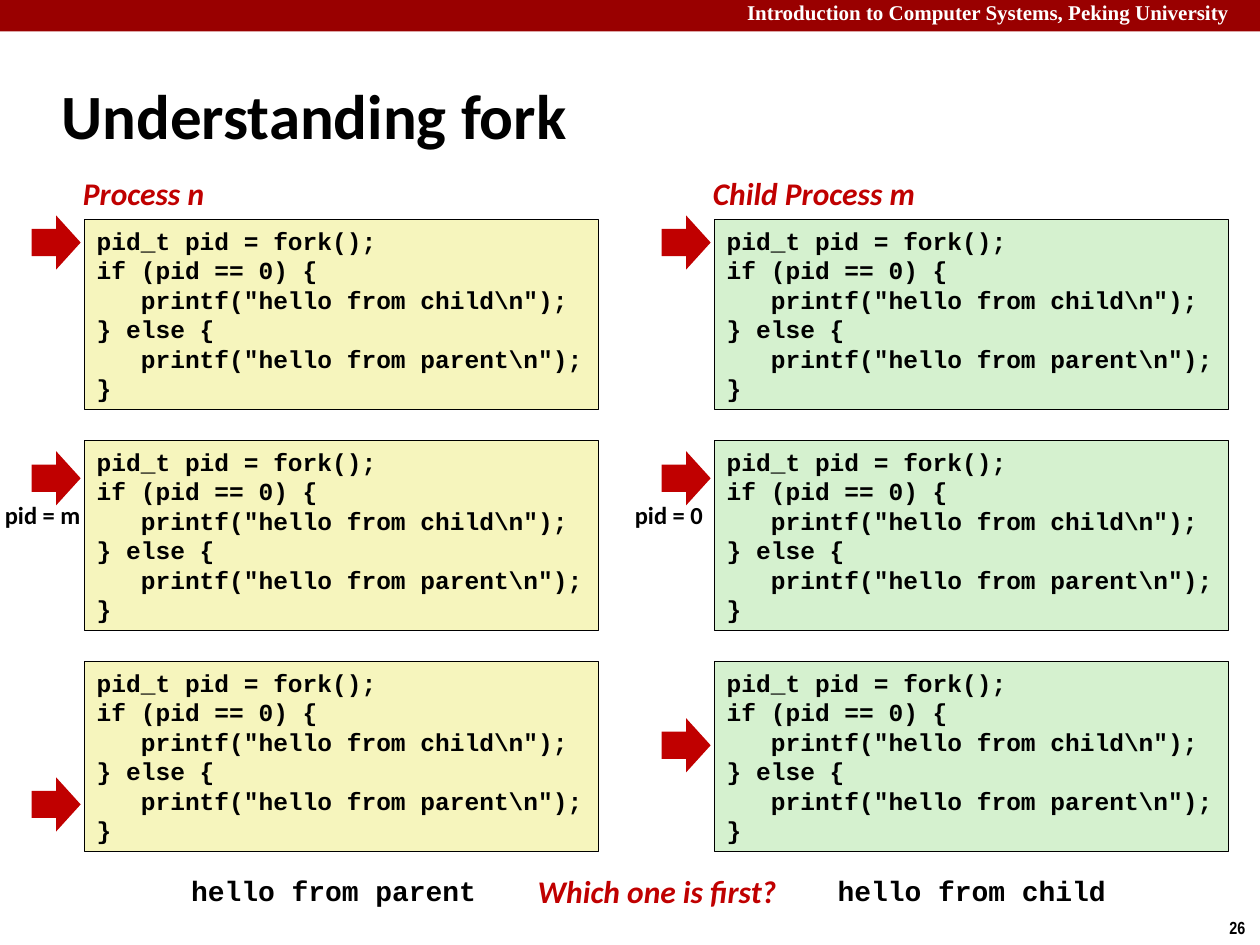
from pptx import Presentation
from pptx.dml.color import RGBColor
from pptx.enum.shapes import MSO_SHAPE
from pptx.enum.text import MSO_ANCHOR, PP_ALIGN
from pptx.util import Pt

RECTANGLE = MSO_SHAPE.RECTANGLE
RIGHT_ARROW = MSO_SHAPE.RIGHT_ARROW
LEFT = PP_ALIGN.LEFT
TOP, MIDDLE = MSO_ANCHOR.TOP, MSO_ANCHOR.MIDDLE

COLORS = {
    "banner": "990000",
    "accent": "C00000",
    "parent": "F6F5BD",
    "child": "D5F1CF",
    "black": "000000",
    "white": "FFFFFF",
}

CODE = r'''pid_t pid = fork();
if (pid == 0) {
   printf("hello from child\n");
} else {
   printf("hello from parent\n");
}'''

# Lengths in points
COLUMN_STEP = 360
CODE_LEFT, CODE_TOP, CODE_STEP = 48.2, 125.3, 126.3
CODE_WIDTH, CODE_HEIGHT, CODE_LINE = 293.8, 108.7, 16.9
ARROW_LEFT, ARROW_WIDTH, ARROW_HEIGHT = 18, 28.1, 31

# Each process: heading, heading width, fill, arrow tops, pid label, label width
PROCESSES = [
    ("Process n", 85, "parent", (123.1, 257.8, 444.2), "pid = m", 58.3),
    ("Child Process m", 131.8, "child", (123.1, 257.8, 410.4), "pid = 0", 54),
]


def color(name):
    return RGBColor.from_string(COLORS[name])


def add_run(paragraph, text, size, font="Calibri", color_name="black", italic=False):
    paragraph.alignment = LEFT
    run = paragraph.add_run()
    run.text = text
    run.font.name = font
    run.font.size = Pt(size)
    run.font.bold = True
    run.font.italic = italic
    run.font.color.rgb = color(color_name)


def add_label(slide, box, text, size, wrap=False, **style):
    shape = slide.shapes.add_textbox(*map(Pt, box))
    shape.text_frame.word_wrap = wrap
    add_run(shape.text_frame.paragraphs[0], text, size, **style)


def add_block(slide, kind, box, fill, outlined=False):
    shape = slide.shapes.add_shape(kind, *map(Pt, box))
    shape.shadow.inherit = False
    shape.fill.solid()
    shape.fill.fore_color.rgb = color(fill)
    if outlined:
        shape.line.color.rgb = color("black")
        shape.line.width = Pt(0.25)
    else:
        shape.line.fill.background()
    return shape


def add_code(slide, left, top, fill):
    box = (left, top, CODE_WIDTH, CODE_HEIGHT)
    frame = add_block(slide, RECTANGLE, box, fill, outlined=True).text_frame
    frame.word_wrap = False
    frame.vertical_anchor = TOP
    for index, line in enumerate(CODE.splitlines()):
        paragraph = frame.add_paragraph() if index else frame.paragraphs[0]
        paragraph.line_spacing = Pt(CODE_LINE)
        add_run(paragraph, line, 14, "Courier New")


def add_process(slide, offset, heading, heading_width, fill, arrow_tops, pid, pid_width):
    add_label(slide, (40.3 + offset, 96, heading_width, 29), heading, 18,
              color_name="accent", italic=True)
    for row, arrow_top in enumerate(arrow_tops):
        add_code(slide, CODE_LEFT + offset, CODE_TOP + row * CODE_STEP, fill)
        add_block(slide, RIGHT_ARROW,
                  (ARROW_LEFT + offset, arrow_top, ARROW_WIDTH, ARROW_HEIGHT), "accent")
    add_label(slide, (-4.3 + offset, 282.2, pid_width, 24.2), pid, 14)


def add_title(slide, text):
    title = slide.shapes.title
    title.left, title.top, title.width, title.height = map(Pt, (28, 35.3, 597.6, 59.8))
    title.text_frame.vertical_anchor = MIDDLE
    add_run(title.text_frame.paragraphs[0], text, 36)


def main():
    presentation = Presentation()
    presentation.slide_width, presentation.slide_height = Pt(720), Pt(540)
    slide = presentation.slides.add_slide(presentation.slide_layouts[5])

    # Banner, page number and title
    add_block(slide, RECTANGLE, (0, 0, 720, 18), "banner")
    add_label(slide, (419.8, -3.6, 300.2, 21.6),
              "Introduction to Computer Systems, Peking University", 12,
              wrap=True, font="Times New Roman", color_name="white")
    add_label(slide, (695.5, 520.6, 24.5, 19.4), "26", 10, font="Arial Narrow")
    add_title(slide, "Understanding fork")

    # Parent and child, one column each
    for column, process in enumerate(PROCESSES):
        add_process(slide, column * COLUMN_STEP, *process)

    # Output lines and the closing question
    add_label(slide, (102.2, 495.4, 180, 26.6), "hello from parent", 16, font="Courier New")
    add_label(slide, (471.6, 495.4, 169.9, 26.6), "hello from child", 16, font="Courier New")
    add_label(slide, (300.2, 494.6, 153.4, 29), "Which one is first?", 18,
              color_name="accent", italic=True)

    presentation.save("out.pptx")


if __name__ == "__main__":
    main()
